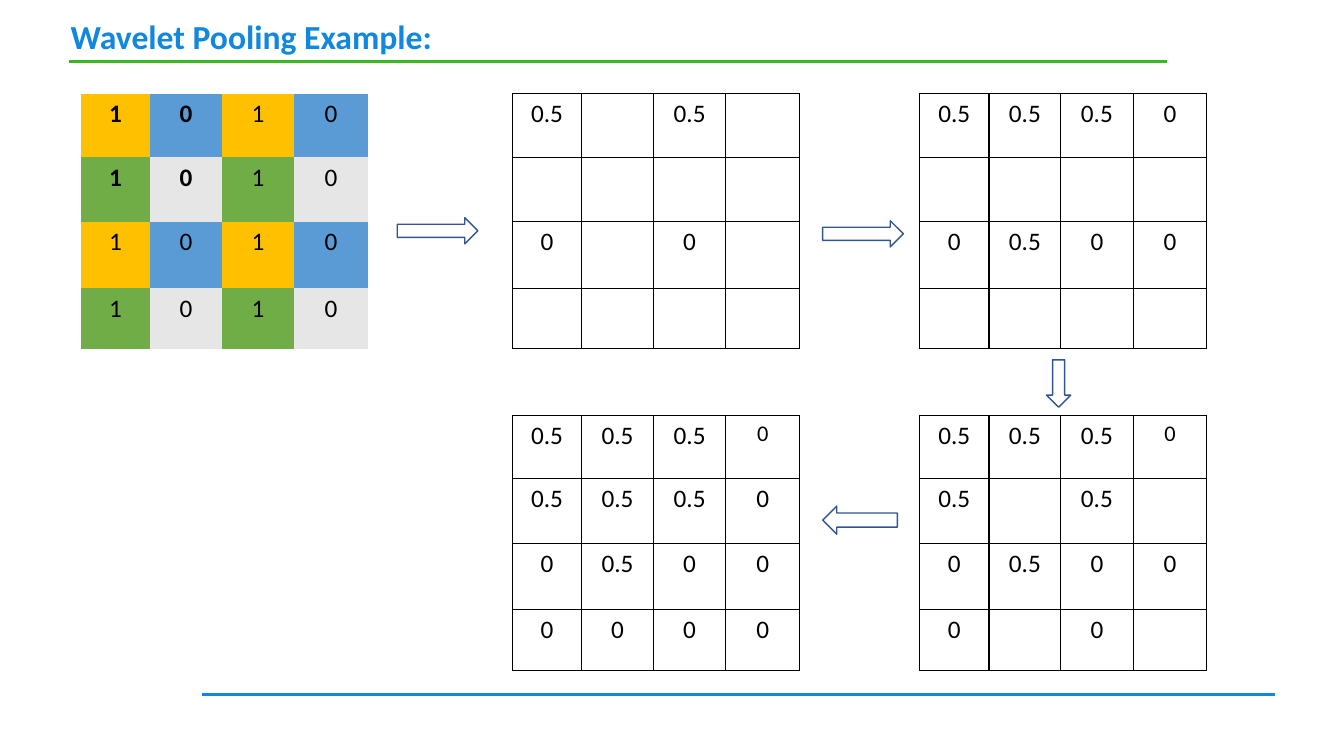
import pptx
import pptx.util
import pptx.dml.color
import pptx.enum.shapes
import pptx.enum.text
import pptx.oxml
import pptx.oxml.ns
from pptx.util import Inches

COLORS = {
    "blue": "1188DE", "green_rule": "3AB824", "black": "000000", "white": "FFFFFF",
    "arrow": "325491", "gold": "FFC000", "sky": "5B9BD5", "leaf": "70AD47", "grey": "E7E6E6",
}
COLUMN_WIDTHS = [0.69, 0.71, 0.72, 0.73]
ROW_HEIGHTS = [0.63, 0.64, 0.66, 0.6]
INPUT_X, MIDDLE_X, RIGHT_X = 0.8, 5.08, 9.12
TOP_Y, BOTTOM_Y = 0.93, 4.12
POOLING_FILLS = [["gold", "sky"], ["leaf", "grey"]]
Shape = pptx.enum.shapes.MSO_SHAPE


class PoolingSlide:
    """Draws matrices, arrows and rules on one slide in a shared style."""

    def __init__(self, slide, font="Calibri"):
        self.slide = slide
        self.font = font

    def rgb(self, name):
        return pptx.dml.color.RGBColor.from_string(COLORS[name])

    def style(self, font, size, color, bold=False):
        font.name, font.size, font.bold = self.font, pptx.util.Pt(size), bold
        font.color.rgb = self.rgb(color)

    def title(self, text, x, y, width, height):
        title = self.slide.shapes.title
        title.left, title.top = Inches(x), Inches(y)
        title.width, title.height = Inches(width), Inches(height)
        frame = title.text_frame
        frame.text = text
        frame.vertical_anchor = pptx.enum.text.MSO_ANCHOR.MIDDLE
        heading = frame.paragraphs[0]
        heading.alignment = pptx.enum.text.PP_ALIGN.LEFT
        heading.line_spacing = 0.9
        self.style(heading.font, 24, "blue", True)

    def rule(self, x1, x2, y, color):
        line = self.slide.shapes.add_connector(
            pptx.enum.shapes.MSO_CONNECTOR.STRAIGHT,
            Inches(x1), Inches(y), Inches(x2), Inches(y))
        line.line.color.rgb = self.rgb(color)
        line.line.width = pptx.util.Pt(2)
        line._element.spPr.append(pptx.oxml.ns.qn and pptx.oxml.parse_xml(
            f"<a:effectLst {pptx.oxml.ns.nsdecls('a')}/>"))

    def arrow(self, preset, x, y, width, height):
        arrow = self.slide.shapes.add_shape(
            preset, Inches(x), Inches(y), Inches(width), Inches(height))
        arrow.shadow.inherit = False
        arrow.fill.solid()
        arrow.fill.fore_color.rgb = self.rgb("white")
        arrow.line.color.rgb = self.rgb("arrow")
        arrow.line.width = pptx.util.Pt(1)

    def border(self, cell, color):
        paint = "<a:noFill/>"
        if color:
            paint = f'<a:solidFill><a:srgbClr val="{COLORS[color]}"/></a:solidFill>'
        properties = cell._tc.get_or_add_tcPr()
        for side in "LRTB":
            properties.append(pptx.oxml.parse_xml(
                f'<a:ln{side} {pptx.oxml.ns.nsdecls("a")} w="12700">{paint}</a:ln{side}>'))

    def matrix(self, x, y, values, fills=(("white",),), border="black",
               bold_cells=(), small_cells=()):
        table = self.slide.shapes.add_table(
            len(ROW_HEIGHTS), len(COLUMN_WIDTHS), Inches(x), Inches(y),
            Inches(sum(COLUMN_WIDTHS)), Inches(sum(ROW_HEIGHTS))).table
        table.first_row = table.horz_banding = False
        for column, width in zip(table.columns, COLUMN_WIDTHS):
            column.width = Inches(width)
        for r, (row, height) in enumerate(zip(table.rows, ROW_HEIGHTS)):
            row.height = Inches(height)
            for c, cell in enumerate(row.cells):
                self.border(cell, border)
                fill_row = fills[r % len(fills)]
                cell.fill.solid()
                cell.fill.fore_color.rgb = self.rgb(fill_row[c % len(fill_row)])
                cell.text = values[r][c]
                entry = cell.text_frame.paragraphs[0]
                entry.alignment = pptx.enum.text.PP_ALIGN.CENTER
                size = 16 if (r, c) in small_cells else 18
                self.style(entry.font, size, "black", (r, c) in bold_cells)


def main():
    deck = pptx.Presentation()
    deck.slide_width, deck.slide_height = Inches(13.33), Inches(7.5)
    page = PoolingSlide(deck.slides.add_slide(deck.slide_layouts[5]))

    page.rule(2, 12.65, 6.89, "blue")
    page.rule(0.68, 11.57, 0.61, "green_rule")
    page.title("Wavelet Pooling Example:", 0.6, 0, 11.01, 0.77)

    blank = [""] * 4
    row_averages = ["0.5", "0.5", "0.5", "0"]
    lower_averages = ["0", "0.5", "0", "0"]
    page.matrix(INPUT_X, TOP_Y, [["1", "0", "1", "0"]] * 4, POOLING_FILLS, None,
                bold_cells=[(0, 0), (0, 1), (1, 0), (1, 1)])
    page.matrix(MIDDLE_X, TOP_Y,
                [["0.5", "", "0.5", ""], blank, ["0", "", "0", ""], blank])
    page.matrix(RIGHT_X, TOP_Y, [row_averages, blank, lower_averages, blank])
    page.matrix(RIGHT_X, BOTTOM_Y,
                [row_averages, ["0.5", "", "0.5", ""], lower_averages, ["0", "", "0", ""]],
                small_cells=[(0, 3)])
    page.matrix(MIDDLE_X, BOTTOM_Y,
                [row_averages, row_averages, lower_averages, ["0"] * 4],
                small_cells=[(0, 3)])

    page.arrow(Shape.RIGHT_ARROW, 3.94, 2.16, 0.8, 0.26)
    page.arrow(Shape.RIGHT_ARROW, 8.16, 2.19, 0.8, 0.26)
    page.arrow(Shape.DOWN_ARROW, 10.38, 3.57, 0.24, 0.47)
    page.arrow(Shape.LEFT_ARROW, 8.16, 5.02, 0.74, 0.28)

    deck.save("out.pptx")


if __name__ == "__main__":
    main()
